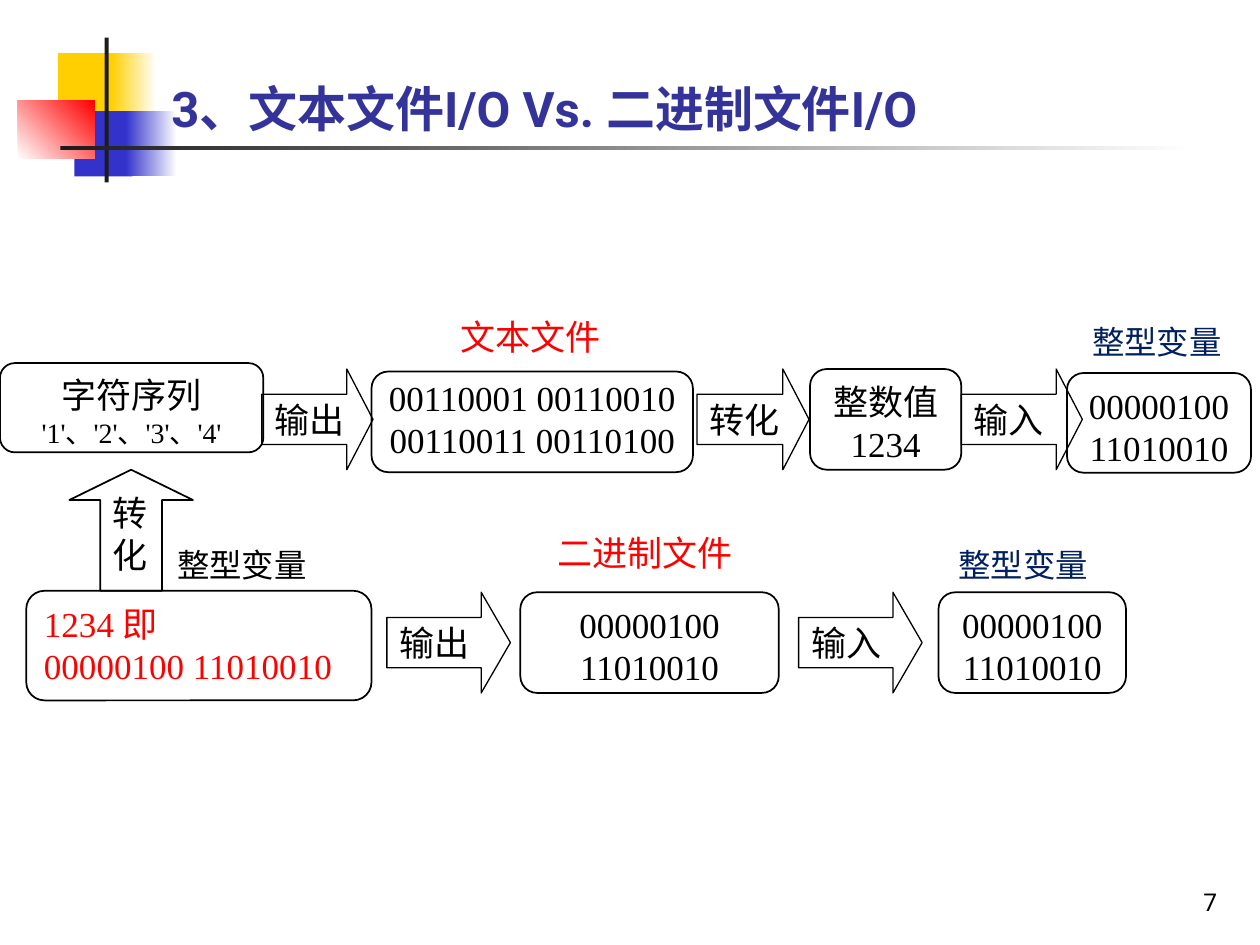
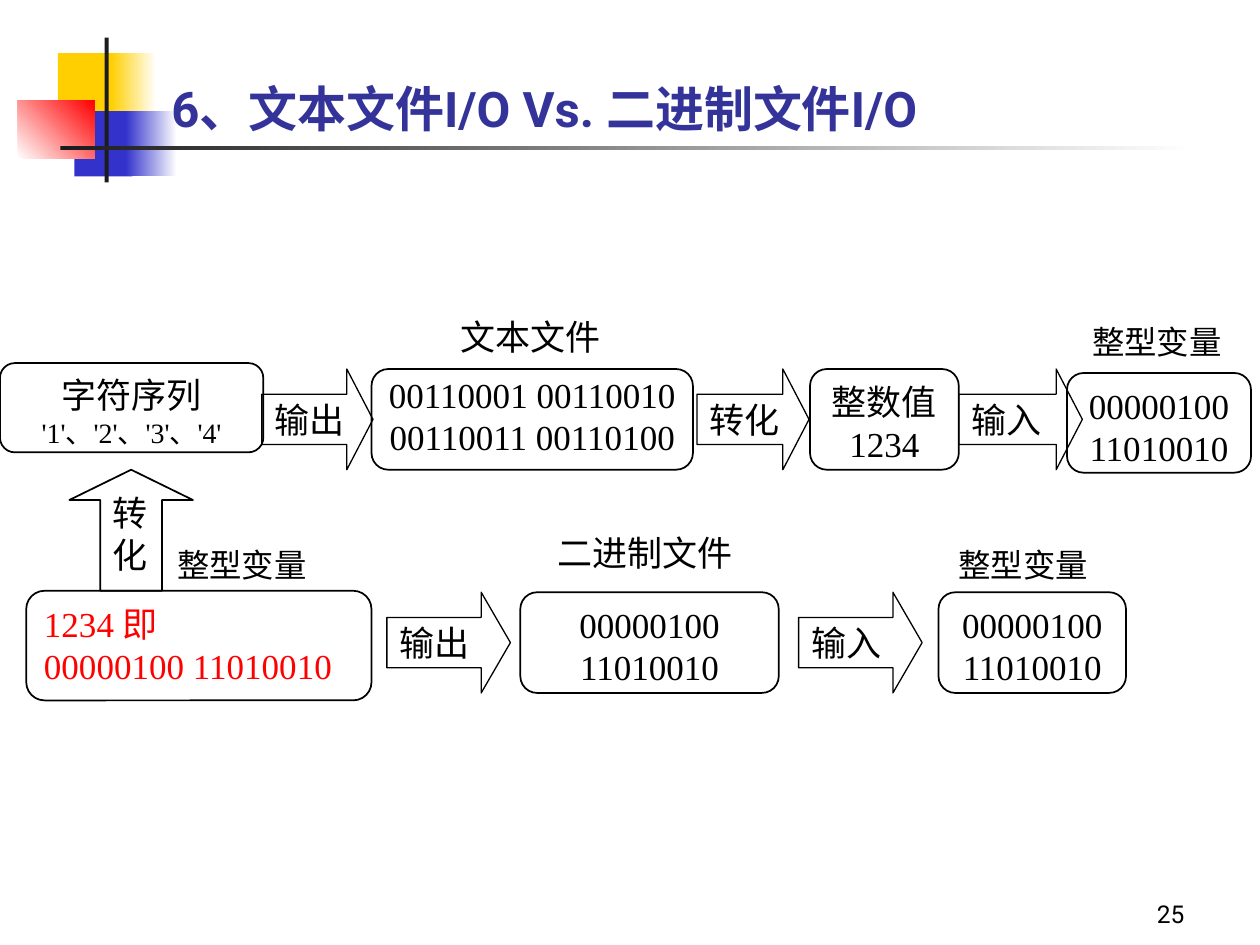
from pptx import Presentation
from pptx import util as u
from pptx.dml import color
from pptx.enum import shapes, text

RECT = shapes.MSO_SHAPE.RECTANGLE
BOX = shapes.MSO_SHAPE.ROUNDED_RECTANGLE
RIGHT = shapes.MSO_SHAPE.RIGHT_ARROW
UP = shapes.MSO_SHAPE.UP_ARROW
TOP, MIDDLE, BOTTOM = text.MSO_ANCHOR.TOP, text.MSO_ANCHOR.MIDDLE, text.MSO_ANCHOR.BOTTOM
CENTER, JUSTIFY = text.PP_ALIGN.CENTER, text.PP_ALIGN.JUSTIFY
BLACK, RED, NAVY = "000000", "FF0000", "002060"
BINARY = ["00000100", "11010010"]


def rgb(value):
    return color.RGBColor.from_string(value)


def write(sp, lines, size=20, c=BLACK, align=CENTER, anchor=TOP, font="Times New Roman", bold=False):
    tf = sp.text_frame
    tf.word_wrap = True
    tf.auto_size = text.MSO_AUTO_SIZE.NONE
    tf.vertical_anchor = anchor
    tf.text = "\n".join(lines)
    for p in tf.paragraphs:
        p.alignment = align
        p.font.name = font
        p.font.size = u.Pt(size)
        p.font.bold = bold
        p.font.color.rgb = rgb(c)
    return tf


prs = Presentation()
prs.slide_width, prs.slide_height = u.Cm(25.4), u.Cm(19.05)
layout = prs.slide_layouts[5]

decorations = [
    (1.17, 1.07, 1.22, 1.32, ["FFCF01"], 0),
    (2.24, 1.07, 0.91, 1.32, ["FFCF01", "FFFFFF"], 0),
    (1.5, 2.24, 1.17, 1.32, ["3333CC"], 0),
    (2.54, 2.24, 1.02, 1.32, ["3333CC", "FFFFFF"], 0),
    (0.36, 2.03, 1.55, 1.17, ["FFFFFF", "FF0000"], 45),
    (2.11, 0.76, 0.08, 2.92, ["1C1C1C"], 0),
    (1.22, 2.95, 22.86, 0.08, ["1C1C1C", "FFFFFF"], 0),
]

pages = [
    dict(number="7", number_at=(19.51, 17.32), title="3、文本文件I/O Vs. 二进制文件I/O", title_top=0.71,
         file_color=RED, variable_color=NAVY, text_file_top=7.49, value_width=3.05),
    dict(number="25", number_at=(18.85, 17.58), title="6、文本文件I/O Vs. 二进制文件I/O", title_top=1.12,
         file_color=BLACK, variable_color=BLACK, text_file_top=7.44, value_width=3),
]

for page in pages:
    s = prs.slides.add_slide(layout)

    if page is pages[0]:
        for i, (x, y, w, h, stops, angle) in enumerate(decorations):
            sp = s.shapes.add_shape(RECT, u.Cm(x), u.Cm(y), u.Cm(w), u.Cm(h))
            sp.shadow.inherit = False
            sp.line.fill.background()
            if len(stops) == 1:
                sp.fill.solid()
                sp.fill.fore_color.rgb = rgb(stops[0])
            else:
                sp.fill.gradient()
                sp.fill.gradient_angle = angle
                for stop, c in zip(sp.fill.gradient_stops, stops):
                    stop.color.rgb = rgb(c)
            sp.element.nvSpPr.cNvPr.set("id", str(20 + i))
            layout.shapes.element.insert(2 + i, sp.element)

    title = s.shapes.title
    title.left, title.top = u.Cm(3.2), u.Cm(page["title_top"])
    title.width, title.height = u.Cm(21.64), u.Cm(2.9 - page["title_top"])
    write(title, [page["title"]], 28, "333399", text.PP_ALIGN.LEFT, BOTTOM, "Roboto", True)

    x, y = page["number_at"]
    sp = s.shapes.add_textbox(u.Cm(x), u.Cm(y), u.Cm(5.28), u.Cm(1.27))
    write(sp, [page["number"]], 14, BLACK, text.PP_ALIGN.RIGHT, BOTTOM, "Roboto")

    value_right = 16.33 + page["value_width"]
    arrows = [
        (RIGHT, 5.28, 7.44, 2.24, 2.03, 0.26, "输出"),
        (RIGHT, 14.05, 7.44, 2.26, 2.03, 0.26, "转化"),
        (RIGHT, value_right, 7.44, 21.82 - value_right, 2.03, 0.26, "输入"),
        (RIGHT, 7.8, 11.94, 2.49, 2.03, 0.29, "输出"),
        (RIGHT, 16.1, 11.94, 2.49, 2.03, 0.29, "输入"),
        (UP, 1.4, 9.47, 2.49, 2.44, 0.25, "转化"),
    ]
    for kind, x, y, w, h, head, label in arrows:
        sp = s.shapes.add_shape(kind, u.Cm(x), u.Cm(y), u.Cm(w), u.Cm(h))
        sp.shadow.inherit = False
        sp.adjustments[1] = head
        sp.fill.background()
        sp.line.color.rgb = rgb(BLACK)
        sp.line.width = u.Pt(1 if kind == UP else 0.75)
        write(sp, [label], align=JUSTIFY, anchor=TOP if kind == UP else MIDDLE)

    boxes = [
        (0, 7.32, 5.31, 1.8, 0.25, 0.13, ["字符序列", "'1'、'2'、'3'、'4'"]),
        (7.49, page["text_file_top"], 6.48, 2.03, 0, 0, ["00110001 00110010 00110011 00110100"]),
        (16.33, 7.44, page["value_width"], 2.03, 0.25, 0.13, ["整数值1234"]),
        (21.51, 7.52, 3.71, 2.01, 0, 0.13, BINARY),
        (0.53, 11.91, 6.96, 2.21, 0.25, 0.13, ["1234 即", "00000100 11010010"]),
        (10.49, 11.94, 5.21, 2.03, 0.25, 0.13, ["00000100 11010010"]),
        (18.92, 11.94, 3.78, 2.03, 0, 0.13, BINARY),
    ]
    for x, y, w, h, side, edge, lines in boxes:
        sp = s.shapes.add_shape(BOX, u.Cm(x), u.Cm(y), u.Cm(w), u.Cm(h))
        sp.shadow.inherit = False
        sp.fill.background()
        sp.line.color.rgb = rgb(BLACK)
        sp.line.width = u.Pt(1)
        source = lines[0].startswith("1234")
        tf = write(sp, lines, c=RED if source else BLACK, align=JUSTIFY if source else CENTER)
        tf.margin_left = tf.margin_right = u.Cm(side)
        tf.margin_top = tf.margin_bottom = u.Cm(edge)
        if lines[0] == "字符序列":
            tf.paragraphs[1].font.size = u.Pt(16)

    labels = [
        (9.53, 6.53, 2.34, 0.51, "文本文件", 20, page["file_color"]),
        (11.3, 10.77, 3.4, 0.74, "二进制文件", 20, page["file_color"]),
        (21.82, 6.53, 3, 0.81, "整型变量", 18.5, page["variable_color"]),
        (19.13, 11.02, 3, 0.81, "整型变量", 18.5, page["variable_color"]),
        (3.38, 11.02, 3, 0.81, "整型变量", 18.5, BLACK),
    ]
    for x, y, w, h, label, size, c in labels:
        sp = s.shapes.add_textbox(u.Cm(x), u.Cm(y), u.Cm(w), u.Cm(h))
        tf = write(sp, [label], size, c, anchor=MIDDLE)
        tf.word_wrap = False
        tf.margin_left = tf.margin_right = tf.margin_top = tf.margin_bottom = 0
        if size < 20:
            tf.paragraphs[0].line_spacing = 0.9

prs.save("out.pptx")
